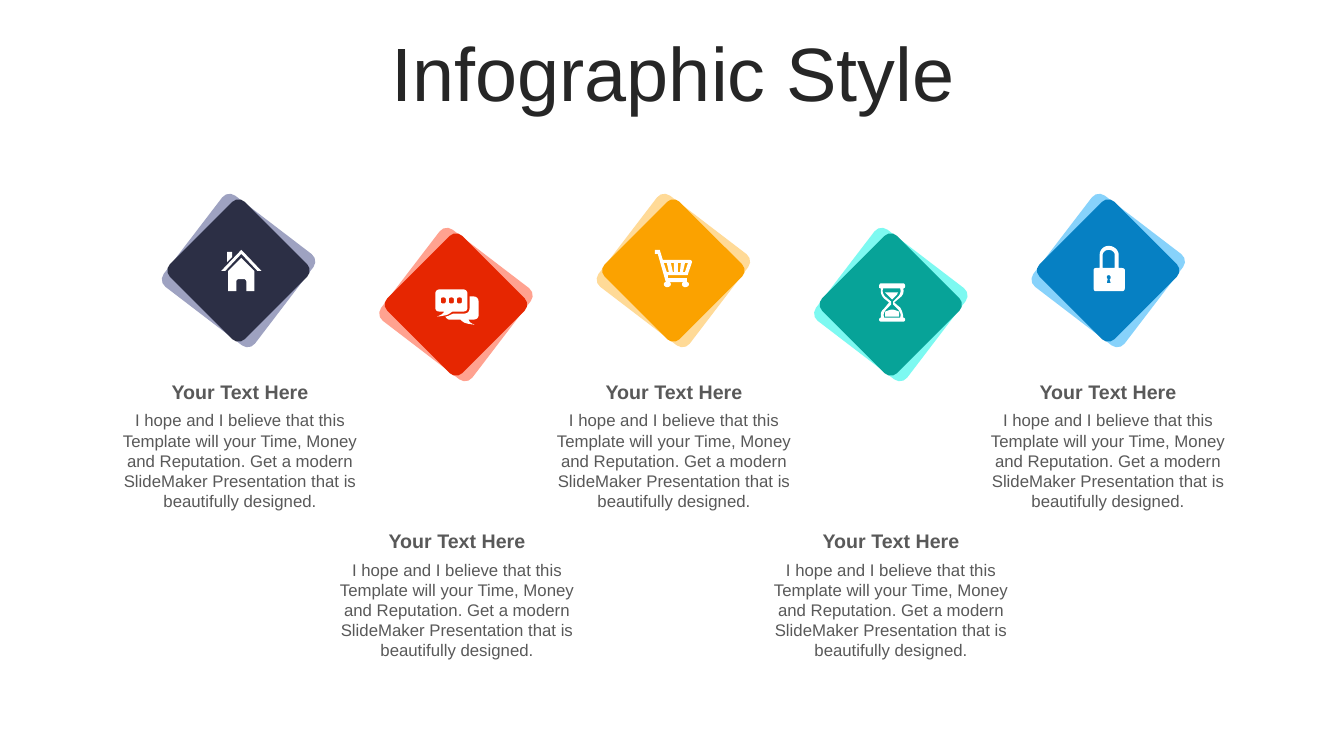
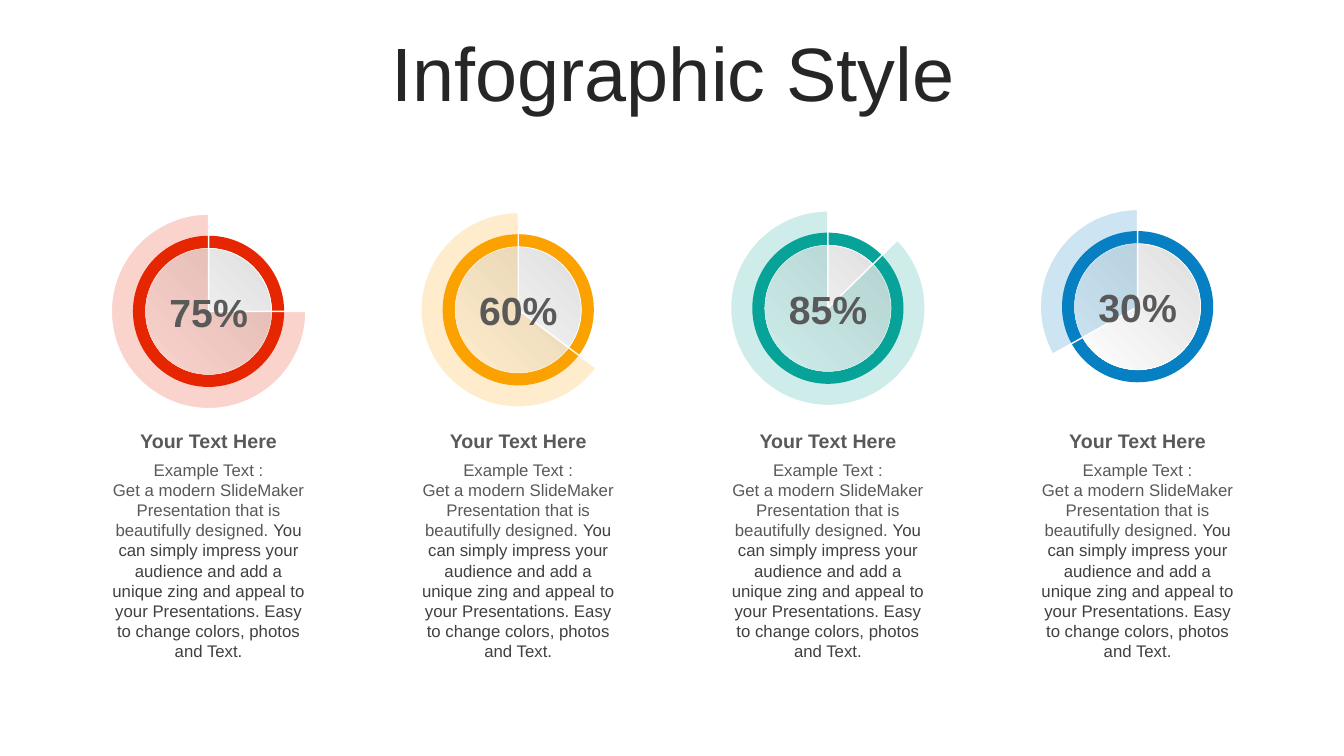
from dataclasses import dataclass

from lxml import etree
from pptx import Presentation
from pptx.dml.color import RGBColor
from pptx.enum.shapes import MSO_SHAPE
from pptx.enum.text import MSO_ANCHOR, MSO_AUTO_SIZE, PP_ALIGN
from pptx.oxml.ns import qn
from pptx.util import Pt

ROUND, OVAL, PIE = MSO_SHAPE.ROUNDED_RECTANGLE, MSO_SHAPE.OVAL, MSO_SHAPE.PIE
MIDDLE, CENTER, FIXED = MSO_ANCHOR.MIDDLE, PP_ALIGN.CENTER, MSO_AUTO_SIZE.NONE


@dataclass(frozen=True)
class Theme:
    font: str = "Arial"
    title: str = "262626"
    text: str = "595959"
    dark: str = "404040"
    white: str = "FFFFFF"
    gray: str = "DEDEDE"
    navy: str = "2C2F45"
    red: str = "E62601"
    gold: str = "FBA200"
    teal: str = "07A398"
    blue: str = "0680C3"
    title_size: float = 54
    value_size: float = 28
    head_size: float = 14
    body_size: float = 12


T = Theme()
TITLE = "Infographic Style"
HEAD = "Your Text Here"
HOPE = ("I hope and I believe that this Template will your Time, Money and "
        "Reputation. Get a modern SlideMaker Presentation that is "
        "beautifully designed.")
STORY = [
    [("Example Text :", T.text)],
    [("Get a modern SlideMaker Presentation that is beautifully designed. ",
      T.text),
     ("You can simply impress your audience and add a unique zing and appeal "
      "to your Presentations. Easy to change colors, photos and Text.",
      T.dark)],
]

# Icon outlines: M move, L line, C curve, Z close; one unit is 0.72 pt
HOUSE = """
M 20 8 L 33 21 L 33 41 L 25 41 L 25 32 C 25 30 24 29 22 29 L 18 29
C 16 29 15 30 15 32 L 15 41 L 7 41 L 7 21 Z
M 6 2 L 11 2 L 11 7 L 6 12 Z
M 20 0 L 40 21 L 36 21 L 20 4 L 4 21 L 0 21 Z"""
DOT = """
M {1} 8 C {0} 8 {0} 9 {0} 11 C {0} 13 {0} 14 {1} 14
C {2} 14 {2} 13 {2} 11 C {2} 9 {2} 8 {1} 8 Z"""
CHAT = "".join(DOT.format(x - 2.5, x, x + 2.5) for x in (8, 16, 24)) + """
M 34 7 L 38 7 C 41 7 43 9 43 12 L 43 26 C 43 28 41 30 38 30 L 33 30
C 34 32 34 33 39 35 C 31 34 29 34 25 30 L 14 30 C 13 30 11 29 10 27
C 13 27 15 25 18 24 L 29 24 C 32 24 34 22 34 19 Z
M 4 0 L 28 0 C 30 0 32 2 32 4 L 32 18 C 32 21 30 22 28 22 L 17 22
C 12 26 10 26 2 27 C 6 25 7 25 9 22 L 4 22 C 2 22 0 21 0 18 L 0 4
C 0 2 2 0 4 0 Z"""
CART = """
M 30 13 L 28 22 L 30 22 L 33 13 Z M 23 13 L 23 22 L 25 22 L 26 13 Z
M 16 13 L 18 22 L 19 22 L 19 13 Z M 9 13 L 12 22 L 14 22 L 12 13 Z
M 5 0 L 8 10 L 35 10 C 36 10 37 11 37 12 L 33 24 C 33 25 33 25 32 25
L 13 25 L 13 28 L 32 28 L 32 32 C 33 32 34 33 34 34 C 34 36 32 37 30 37
C 29 37 27 36 27 34 C 27 33 28 32 29 32 L 14 32 C 15 32 16 33 16 34
C 16 36 14 37 12 37 C 11 37 9 36 9 34 C 9 33 10 32 11 32 L 3 4 L 0 4
L 0 0 Z"""
GLASS = """
M 13 26 C 15 26 17 27 20 28 C 20 30 20 32 20 33 L 6 33 C 6 32 6 30 6 28
C 9 27 11 26 13 26 Z
M 6 9 L 19 9 C 19 9 18 10 18 11 L 13 16 L 8 11 C 7 10 6 9 6 9 Z
M 4 5 C 3 8 4 11 6 13 L 12 18 L 12 21 L 7 26 C 5 28 4 31 5 34 L 21 34
C 22 31 21 28 19 26 L 14 21 L 14 18 L 19 13 C 21 11 22 8 21 5 Z
M 2 0 L 24 0 C 25 0 26 1 26 3 C 26 4 25 5 24 5 C 25 8 24 12 21 14 L 15 19
L 21 24 C 23 27 24 31 24 34 C 25 34 26 35 26 36 C 26 37 25 38 24 38
L 2 38 C 1 38 0 37 0 36 C 0 35 1 34 2 34 C 1 31 2 27 5 25 L 10 19
L 5 15 C 2 12 1 8 2 5 C 0 5 0 4 0 3 C 0 1 1 0 2 0 Z"""
LOCK = """
M 15 29 C 14 29 13 30 13 31 C 13 32 14 33 14 33 L 13 37 L 17 37 L 16 33
C 17 33 17 32 17 31 C 17 30 16 29 15 29 Z
M 15 4 C 12 4 9 6 9 9 L 9 22 L 21 22 L 21 9 C 21 6 18 4 15 4 Z
M 15 0 C 20 0 25 4 25 9 L 25 22 L 28 22 C 30 22 31 23 31 24 L 31 42
C 31 44 30 45 28 45 L 2 45 C 1 45 0 44 0 42 L 0 24 C 0 23 1 22 2 22
L 6 22 L 6 9 C 6 4 10 0 15 0 Z"""

# front colour, back colour, icon, icon shift
TILES = [
    (T.navy, "9EA2C1", HOUSE, (2, 0)),
    (T.red, "FFA290", CHAT, (0.7, 1.8)),
    (T.gold, "FFDA97", CART, (0, -1.4)),
    (T.teal, "7DF9F1", GLASS, (1, -1.4)),
    (T.blue, "87D2FB", LOCK, (0.7, -1.4)),
]
# value, colour, angle where the sector starts (it ends at the top)
DIALS = [
    ("75%", T.red, 0),
    ("60%", T.gold, 36.9),
    ("85%", T.teal, 315.6),
    ("30%", T.blue, 150.8),
]


def paint(shape, color, line=None, width=1):
    shape.shadow.inherit = False
    if color:
        shape.fill.solid()
        shape.fill.fore_color.rgb = RGBColor.from_string(color)
    if line:
        shape.line.color.rgb = RGBColor.from_string(line)
        shape.line.width = Pt(width)
    else:
        shape.line.fill.background()


def put(slide, kind, x, y, size, color, line=None, width=1):
    """Add a square-sided shape centred on x, y."""
    shape = slide.shapes.add_shape(
        kind, Pt(x - size / 2), Pt(y - size / 2), Pt(size), Pt(size))
    paint(shape, color, line, width)
    return shape


def write(frame, paras, size, bold=False):
    """Fill a frame with paragraphs, each a list of (text, colour) runs."""
    frame.word_wrap = True
    for i, runs in enumerate(paras):
        para = frame.add_paragraph() if i else frame.paragraphs[0]
        para.alignment = CENTER
        for text, color in runs:
            run = para.add_run()
            run.text = text
            font = run.font
            font.name, font.size, font.bold = T.font, Pt(size), bold
            font.color.rgb = RGBColor.from_string(color)


def label(slide, x, y, w, h, paras, size, bold=False):
    box = slide.shapes.add_textbox(Pt(x), Pt(y), Pt(w), Pt(h))
    write(box.text_frame, paras, size, bold)


def card(slide, x, y, w, h, paras):
    """Add a bold heading with its text below."""
    label(slide, x, y, w, 24.5, [[(HEAD, T.text)]], T.head_size, True)
    label(slide, x, y + 21.6, w, h, paras, T.body_size)


def trace(outline):
    """Turn an outline into loops of points, ten steps to a unit."""
    loops, nums = [], []
    for word in outline.split():
        if word in "MLCZ":
            if word == "M":
                loops.append([])
            op, nums = word, []
            continue
        nums.append(float(word) * 10)
        if len(nums) == (6 if op == "C" else 2):
            if op == "C":
                a, b, c, d = loops[-1][-1], nums[:2], nums[2:4], nums[4:]
                for t in (k / 6 for k in range(1, 7)):
                    s = 1 - t
                    loops[-1].append(tuple(
                        s**3 * a[j] + 3 * s * s * t * b[j]
                        + 3 * s * t * t * c[j] + t**3 * d[j]
                        for j in (0, 1)))
            else:
                loops[-1].append(tuple(nums))
    return loops


def icon(slide, outline, x, y):
    loops = trace(outline)
    pen = slide.shapes.build_freeform(*loops[0][0], scale=Pt(0.072))
    for i, loop in enumerate(loops):
        if i:
            pen.move_to(*loop[0])
        pen.add_line_segments(loop[1:], close=True)
    shape = pen.convert_to_shape()
    shape.left = Pt(x) - shape.width // 2
    shape.top = Pt(y) - shape.height // 2
    paint(shape, T.white)


def page(deck):
    slide = deck.slides.add_slide(deck.slide_layouts[5])
    title = slide.shapes.title
    title.left, title.top = Pt(25.2), Pt(26.6)
    title.width, title.height = Pt(911.5), Pt(56.9)
    frame = title.text_frame
    frame.auto_size, frame.vertical_anchor = FIXED, MIDDLE
    write(frame, [[(TITLE, T.title)]], T.title_size)
    frame.paragraphs[0].line_spacing = 0.9
    return slide


def tiles(deck):
    slide = page(deck)
    for i, (front, back, outline, (dx, dy)) in enumerate(TILES):
        low = i % 2
        x, y = 170.4 + 155.3 * i, 193.2 + 24.3 * low
        for size, turn, color in ((82, 307.4, back), (75.6, 315, front)):
            tile = put(slide, ROUND, x, y, size, color)
            tile.adjustments[0] = 0.08 if size > 80 else 0.082
            tile.rotation = turn
        icon(slide, outline, x + dx, y + dy)
        card(slide, 78.5 + 155 * i, 267.8 + 106.6 * low, 186, 80,
             [[(HOPE, T.text)]])


def dials(deck):
    slide = page(deck)
    for i, (value, color, start) in enumerate(DIALS):
        x, y = 149 + 221.2 * i, 222.4 - 1.1 * i
        put(slide, OVAL, x, y, 108, color)

        disk = put(slide, OVAL, x, y, 90, None, T.white, 0.5)
        disk.fill.gradient()
        disk.fill.gradient_angle = 225
        for stop, tone in zip(disk.fill.gradient_stops, (T.gray, T.white)):
            stop.color.rgb = RGBColor.from_string(tone)

        sector = put(slide, PIE, x, y, 139, color, T.white)
        sector.adjustments[0] = start * 0.6
        sector.adjustments[1] = 270 * 0.6
        fill = sector._element.spPr.find(qn("a:solidFill"))
        etree.SubElement(fill[0], qn("a:alpha")).set("val", "20000")

        label(slide, x - 38, y - 20.2, 76, 41, [[(value, T.text)]],
              T.value_size, True)
        card(slide, x - 77.4, 303.1, 154.8, 152.6, STORY)


def main():
    deck = Presentation()
    deck.slide_width, deck.slide_height = Pt(960), Pt(540)
    tiles(deck)
    dials(deck)
    deck.save("out.pptx")


if __name__ == "__main__":
    main()
